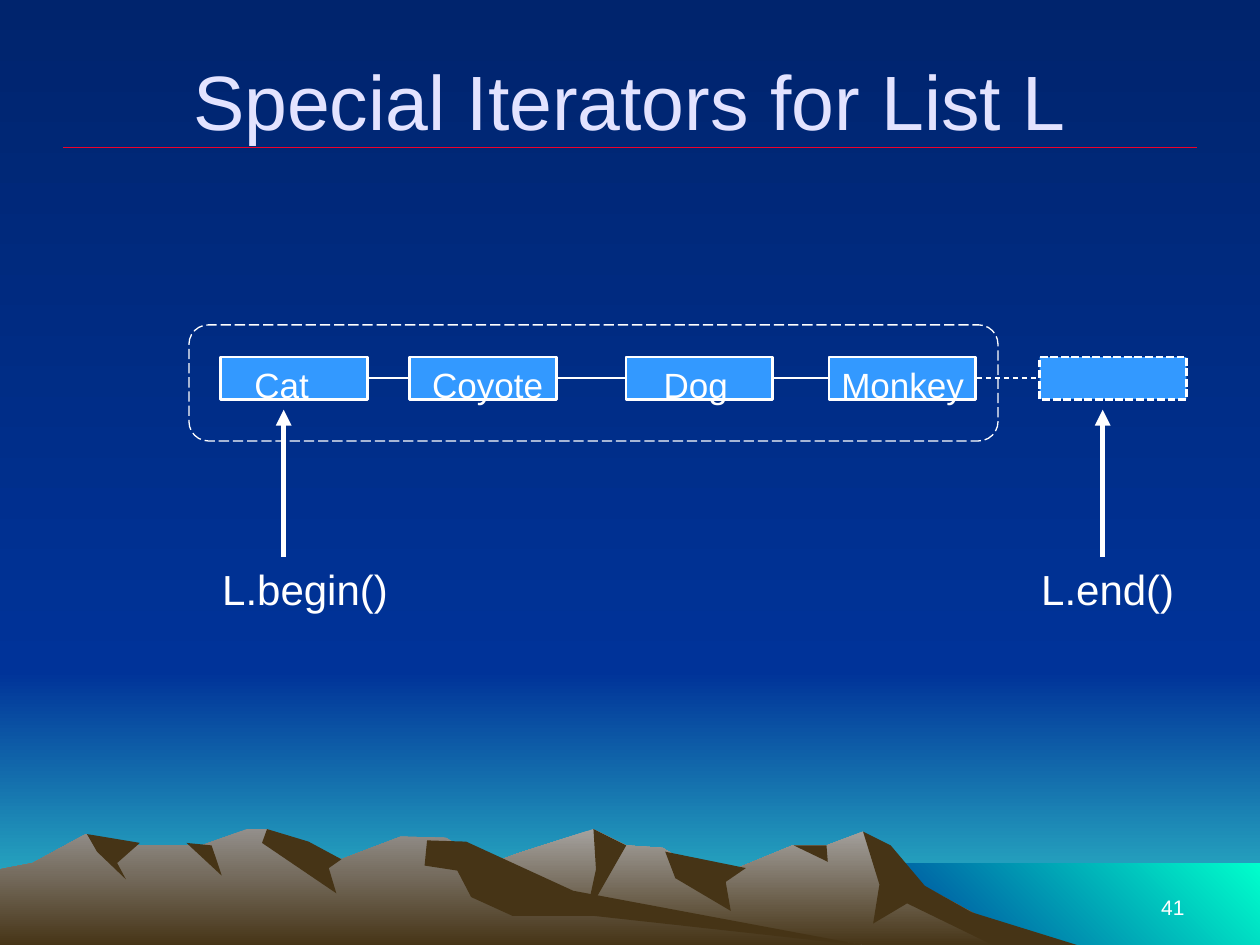
from dataclasses import dataclass

from lxml.etree import SubElement
from pptx import Presentation
from pptx.dml.color import RGBColor
from pptx.enum.dml import MSO_LINE
from pptx.enum.shapes import MSO_CONNECTOR, MSO_SHAPE
from pptx.enum.text import MSO_ANCHOR, MSO_AUTO_SIZE, PP_ALIGN
from pptx.oxml.ns import qn
from pptx.slide import Slide
from pptx.util import Cm, Pt

DOWN, UP_RIGHT = 270, 45
SHADE = "463416"

# Each mountain: slope colour, ridge line, shaded facets; points in 1/100 inch
MOUNTAINS = [
    ("A5A29F",
     [(258, 751), (355, 698), (412, 677), (471, 658), (497, 671), (526, 673), (566, 697),
      (629, 671), (656, 671), (685, 660), (723, 698), (821, 751)],
     [[(685, 660), (698, 702), (693, 733), (720, 717), (792, 752), (858, 751), (771, 724),
       (734, 703), (707, 671)],
      [(471, 658), (473, 690), (465, 727), (497, 671)],
      [(528, 676), (536, 697), (580, 723), (576, 700), (592, 689)],
      [(630, 671), (657, 684), (656, 671)]]),
    ("938F8B",
     [(0, 751), (0, 690), (26, 685), (68, 662), (94, 671), (160, 671), (196, 658), (212, 658),
      (271, 682), (318, 664), (354, 665), (432, 712), (690, 751)],
     [[(212, 658), (208, 669), (267, 709), (261, 689), (271, 682), (245, 668)],
      [(339, 667), (337, 687), (363, 691), (374, 712), (407, 727), (472, 727), (690, 751),
       (455, 707), (370, 668)],
      [(148, 669), (176, 695), (168, 671)],
      [(69, 662), (77, 676), (100, 698), (93, 685), (111, 669)]]),
]


def rgb(hex_code):
    return RGBColor.from_string(hex_code)


@dataclass
class Canvas:
    """Style of the slide and the methods that draw on it; lengths in cm."""
    slide: Slide
    font: str = "Arial"
    ink: str = "FFFFFF"
    node_fill: str = "3399FF"

    def paint(self, fill, colour, angle=DOWN):
        """Fill with one colour, a pair of gradient colours, or nothing."""
        if colour is None:
            fill.background()
        elif isinstance(colour, str):
            fill.solid()
            fill.fore_color.rgb = rgb(colour)
        else:
            fill.gradient()
            fill.gradient_angle = angle
            for stop, shade in zip(fill.gradient_stops, colour):
                stop.color.rgb = rgb(shade)

    def stroke(self, line, width, colour=None, dash=None):
        line.color.rgb = rgb(colour or self.ink)
        line.width = Pt(width)
        if dash:
            line.dash_style = dash

    def box(self, left, top, width, height, fill=None, kind=MSO_SHAPE.RECTANGLE,
            border=None, dash=None, angle=DOWN):
        shape = self.slide.shapes.add_shape(kind, Cm(left), Cm(top), Cm(width), Cm(height))
        shape.shadow.inherit = False
        self.paint(shape.fill, fill, angle)
        if border:
            self.stroke(shape.line, border, dash=dash)
        else:
            shape.line.fill.background()

    def node(self, left, dash=None):
        self.box(left, 7.2, 2.96, 0.85, self.node_fill, border=1.5, dash=dash)

    def outline(self, points, fill):
        builder = self.slide.shapes.build_freeform(*points[0], scale=Cm(0.0254))
        builder.add_line_segments(points[1:], close=True)
        shape = builder.convert_to_shape()
        shape.shadow.inherit = False
        self.paint(shape.fill, fill)
        shape.line.fill.background()

    def line(self, x1, y1, x2, y2, width=0.75, colour=None, dash=None, arrow=False):
        """Draw a straight line, with an arrowhead at its start if asked."""
        link = self.slide.shapes.add_connector(
            MSO_CONNECTOR.STRAIGHT, Cm(x1), Cm(y1), Cm(x2), Cm(y2))
        self.stroke(link.line, width, colour, dash)
        properties = link._element.spPr
        if arrow:
            SubElement(properties.find(qn("a:ln")), qn("a:headEnd"), type="triangle")
        SubElement(properties, qn("a:effectLst"))

    def text(self, words, left, top, width, height, size, colour=None,
             align=PP_ALIGN.LEFT, anchor=MSO_ANCHOR.TOP, wrap=True, grow=False):
        area = self.slide.shapes.add_textbox(Cm(left), Cm(top), Cm(width), Cm(height))
        frame = area.text_frame
        frame.word_wrap = wrap
        frame.vertical_anchor = anchor
        frame.auto_size = MSO_AUTO_SIZE.SHAPE_TO_FIT_TEXT if grow else MSO_AUTO_SIZE.NONE
        paragraph = frame.paragraphs[0]
        paragraph.text = words
        paragraph.alignment = align
        paragraph.font.name = self.font
        paragraph.font.size = Pt(size)
        paragraph.font.color.rgb = rgb(colour or self.ink)

    def iterator(self, call, arrow_x, width):
        """Draw an upward arrow with the call that returns it below."""
        self.line(arrow_x, 8.26, arrow_x, 11.23, width=3, arrow=True)
        self.text(call, arrow_x - 1.49, 11.23, width, 1.27, 24, wrap=False, grow=True)


def main():
    deck = Presentation()
    deck.slide_width, deck.slide_height = Cm(25.4), Cm(19.05)
    canvas = Canvas(deck.slides.add_slide(deck.slide_layouts[6]))

    sky = ("00246D", "003399")
    canvas.paint(canvas.slide.background.fill, sky)
    canvas.box(0, 13.54, 25.4, 5.51, ("003399", "33CCCC"))
    canvas.box(0, 0, 25.4, 13.54, sky)
    canvas.box(17.35, 17.4, 8.05, 1.7, ("003399", "00FFCC"), angle=UP_RIGHT)
    for slope, ridge, facets in MOUNTAINS:
        canvas.outline(ridge, (slope, SHADE))
        for facet in facets:
            canvas.outline(facet, SHADE)

    canvas.line(1.27, 2.97, 24.13, 2.97, colour="EF0129")
    canvas.text("41", 18.21, 17.35, 5.92, 1.32, 12,
                align=PP_ALIGN.RIGHT, anchor=MSO_ANCHOR.BOTTOM)
    canvas.text("Special Iterators for List L", 1.27, 0.76, 22.86, 2.49, 44, "E3E3FF",
                PP_ALIGN.CENTER, MSO_ANCHOR.MIDDLE)

    canvas.line(7.42, 7.62, 16.94, 7.62)
    canvas.box(3.81, 6.55, 16.31, 2.34, kind=MSO_SHAPE.ROUNDED_RECTANGLE,
               border=0.75, dash=MSO_LINE.LONG_DASH)
    animals = [("Cat", 4.45, 4.88, 2.11), ("Coyote", 8.26, 8.46, 2.97),
               ("Dog", 12.62, 13.13, 2.74), ("Monkey", 16.71, 16.71, 3.18)]
    for animal, node_left, label_left, label_width in animals:
        canvas.node(node_left)
        canvas.text(animal, label_left, 7.2, label_width, 1.12, 20, grow=True)
    canvas.line(19.69, 7.62, 21.16, 7.62, dash=MSO_LINE.DASH)
    canvas.node(20.96, dash=MSO_LINE.SQUARE_DOT)

    canvas.iterator("L.begin()", 5.72, 4.14)
    canvas.iterator("L.end()", 22.23, 3.45)
    deck.save("out.pptx")


if __name__ == "__main__":
    main()
